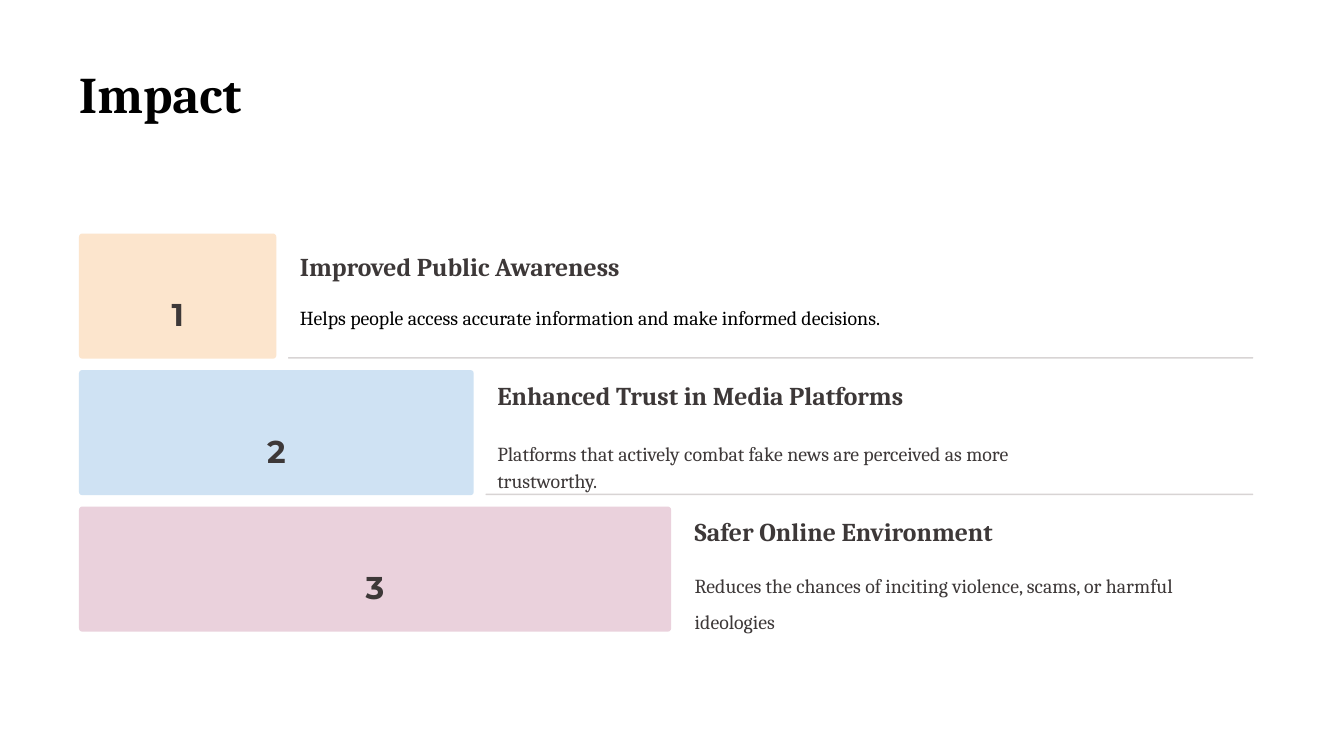
from pptx import Presentation
from pptx.dml.color import RGBColor
from pptx.enum.shapes import MSO_SHAPE
from pptx.enum.text import PP_ALIGN
from pptx.util import Inches, Pt

COLORS = {"title": "000000", "ink": "3D3838", "rule": "D8D4D4", "background": "FFFFFF",
          "peach": "FCE5CD", "blue": "CFE2F3", "pink": "EAD1DC"}
SLIDE_W, SLIDE_H = 16, 9
MARGIN = 0.94
CONTENT_W = SLIDE_W - 2 * MARGIN + 0.8 - 0.94 + 0.0
CONTENT_W = 13.98
STEP_W = 2.35
ROW_TOP, ROW_H, ROW_PITCH = 2.78, 1.49, 1.625

STEPS = [
    dict(fill="peach", heading="Improved Public Awareness",
         body="Helps people access accurate information and make informed decisions.",
         body_color="title", heading_dy=0.11, body_dy=0.82, body_w=8.19, spacing=1.15),
    dict(fill="blue", heading="Enhanced Trust in Media Platforms",
         body="Platforms that actively combat fake news are perceived as more trustworthy.",
         body_color="ink", heading_dy=0.02, body_dy=0.81, body_w=6.14, spacing=1.15),
    dict(fill="pink", heading="Safer Online Environment",
         body="Reduces the chances of inciting violence, scams, or harmful ideologies",
         body_color="ink", heading_dy=0.02, body_dy=0.65, body_w=5.82, spacing=1.53),
]


def add_text(s, box, text, size, color="ink", font="Cambria", bold=False,
             spacing=1.25, align=PP_ALIGN.LEFT):
    """Place one paragraph of text without insets."""
    tf = s.shapes.add_textbox(*map(Inches, box)).text_frame
    tf.margin_left = tf.margin_right = tf.margin_top = tf.margin_bottom = 0
    tf.word_wrap = True
    tf.text = text
    p = tf.paragraphs[0]
    p.alignment, p.line_spacing = align, spacing
    f = p.runs[0].font
    f.name, f.size, f.bold = font, Pt(size), bold
    f.color.rgb = RGBColor.from_string(COLORS[color])


def add_bar(s, box, fill, radius):
    """Place a plain rounded bar."""
    sp = s.shapes.add_shape(MSO_SHAPE.ROUNDED_RECTANGLE, *map(Inches, box))
    sp.adjustments[0] = radius
    sp.shadow.inherit = False
    sp.fill.solid()
    sp.fill.fore_color.rgb = RGBColor.from_string(COLORS[fill])
    sp.line.fill.background()


def add_step(s, box, number, step, ruled):
    """Build one stair row: numbered bar, heading, body and rule."""
    x, y, w, h = box
    bar_w = STEP_W * number
    text_x = x + bar_w + 0.28
    rule_x = x + bar_w + 0.14
    add_bar(s, (x, y, bar_w, h), step["fill"], 0.027)
    add_text(s, (x + bar_w / 2 - 0.19, y + 0.51, 0.38, 0.47), str(number), 27,
             font="Montserrat", bold=True, spacing=1.5, align=PP_ALIGN.CENTER)
    add_text(s, (text_x, y + step["heading_dy"], x + w - text_x, 0.38),
             step["heading"], 22, bold=True)
    add_text(s, (text_x, y + step["body_dy"], step["body_w"], 0.77), step["body"], 17,
             color=step["body_color"], spacing=step["spacing"])
    if ruled:
        add_bar(s, (rule_x, y + h - 0.02, x + w - rule_x, 0.02), "rule", 0.5)


def build_impact(prs):
    """Build the impact slide with its title and stair rows."""
    s = prs.slides.add_slide(prs.slide_layouts[6])
    s.background.fill.solid()
    s.background.fill.fore_color.rgb = RGBColor.from_string(COLORS["background"])
    add_text(s, (MARGIN, 0.56, 8.42, 0.77), "Impact", 44, color="title", bold=True)
    for i, step in enumerate(STEPS):
        box = (MARGIN, ROW_TOP + i * ROW_PITCH, CONTENT_W, ROW_H)
        add_step(s, box, i + 1, step, ruled=i < len(STEPS) - 1)


def main():
    """Create and save the presentation."""
    prs = Presentation()
    prs.slide_width, prs.slide_height = Inches(SLIDE_W), Inches(SLIDE_H)
    build_impact(prs)
    prs.save("out.pptx")


if __name__ == "__main__":
    main()
